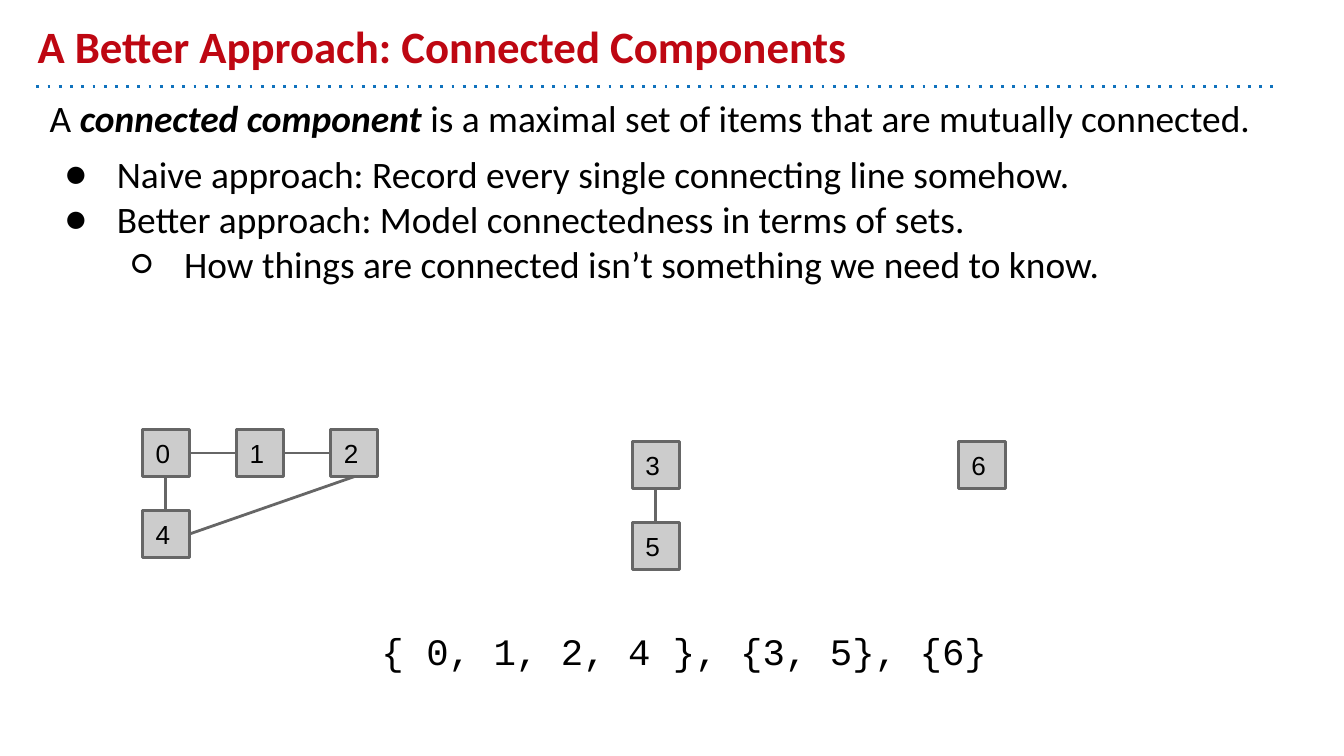
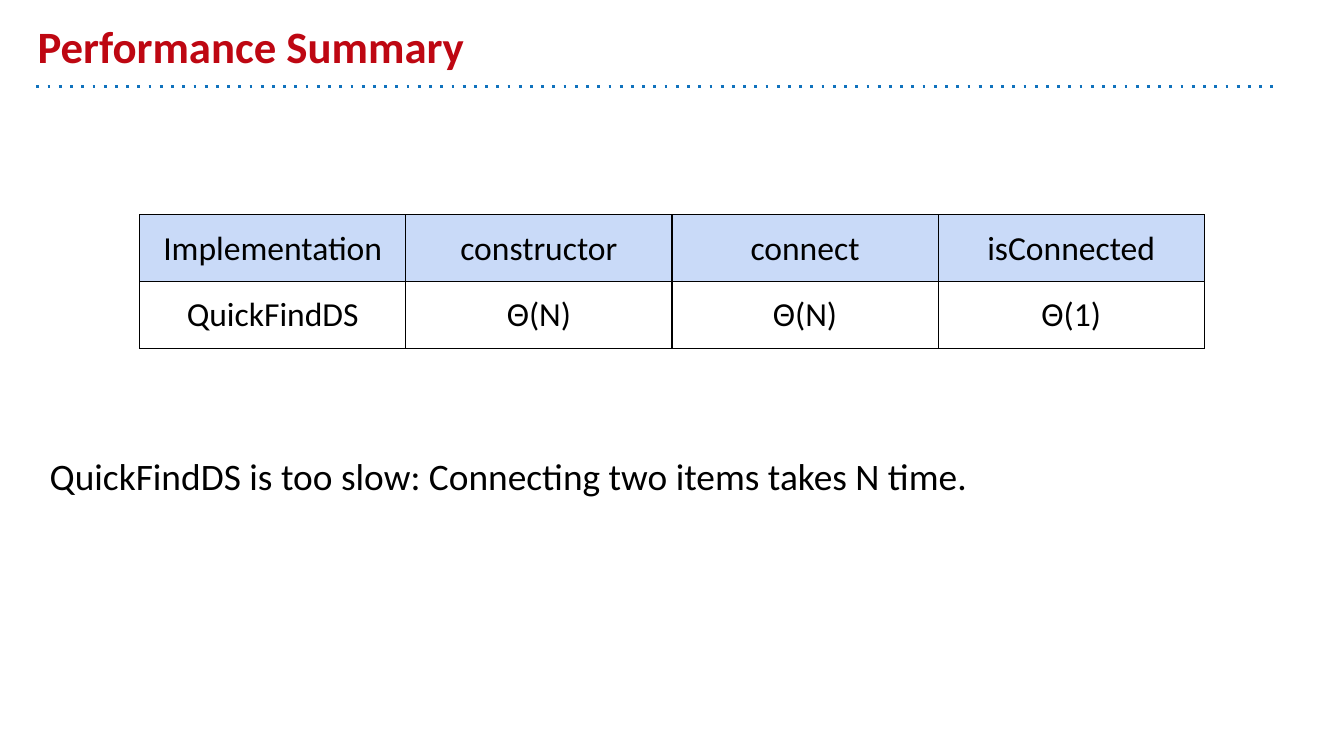
from lxml.etree import SubElement
from pptx import Presentation
from pptx.dml.color import RGBColor
from pptx.enum.shapes import MSO_CONNECTOR, MSO_SHAPE
from pptx.enum.text import MSO_ANCHOR, PP_ALIGN
from pptx.oxml import parse_xml
from pptx.oxml.ns import nsdecls, qn
from pptx.util import Cm, Pt

RED = RGBColor(0xBE, 0x07, 0x12)
BLUE = RGBColor(0x10, 0x72, 0xBD)
PALE = RGBColor(0xC9, 0xDA, 0xF8)
BLACK = RGBColor(0, 0, 0)
GREY = RGBColor(0x66, 0x66, 0x66)
SILVER = RGBColor(0xCC, 0xCC, 0xCC)

HEAD = {"name": "Calibri", "size": Pt(24), "bold": True}
BODY = {"name": "Calibri", "size": Pt(20)}
STRONG = {**BODY, "bold": True, "italic": True}
CODE = {"name": "Courier New", "size": Pt(20)}
LABEL = {"name": "Arial", "size": Pt(14)}
CELL = {"name": "Calibri", "size": Pt(18)}
INSET = {f"margin_{side}": Cm(0.25) for side in ("left", "right", "top", "bottom")}
FRAME = {**INSET, "word_wrap": True}
TOP, RIGHT, BOTTOM, LEFT = 0, 3, 2, 1


def apply(item, style):
    for key, value in style.items():
        setattr(item, key, value)


class Deck:
    def __init__(self):
        self.file = Presentation()
        apply(self.file, {"slide_width": Cm(25.4), "slide_height": Cm(14.29)})
        self.slide = None

    def page(self, title):
        self.slide = self.file.slides.add_slide(self.file.slide_layouts[6])
        rule = self.line(BLUE, (0.69, 1.63), (24.13, 1.63))
        edge = rule._element.spPr.find(qn("a:ln"))
        SubElement(edge, qn("a:prstDash"), val="dot")
        head = self.text((0.46, 0.25, 22.86, 1.37), HEAD, title, RED)
        head.vertical_anchor = MSO_ANCHOR.BOTTOM

    def run(self, para, text, style, color=BLACK):
        run = para.add_run()
        run.text = text
        apply(run.font, style)
        run.font.color.rgb = color

    def text(self, place, style, words, color=BLACK):
        frame = self.slide.shapes.add_textbox(*map(Cm, place)).text_frame
        apply(frame, FRAME)
        self.run(frame.paragraphs[0], words, style, color)
        return frame

    def bullet(self, frame, words, level=0, gap=0):
        para = frame.add_paragraph()
        apply(para, {"level": level, "space_before": Pt(gap)})
        props = para._p.get_or_add_pPr()
        props.set("marL", str(Cm(1.27 * (level + 1))))
        props.set("indent", str(Cm(-0.99)))
        color = SubElement(props, qn("a:buClr"))
        SubElement(color, qn("a:srgbClr"), val=str(BLACK))
        SubElement(props, qn("a:buFont"), typeface="Calibri")
        SubElement(props, qn("a:buChar"), char="●○"[level])
        self.run(para, words, BODY)

    def line(self, color, start=(0, 0), end=(0, 0)):
        line = self.slide.shapes.add_connector(
            MSO_CONNECTOR.STRAIGHT, *map(Cm, start + end))
        line.line.color.rgb = color
        line.line.width = Pt(1.5)
        SubElement(line._element.spPr, qn("a:effectLst"))
        return line

    def node(self, name, left, top):
        box = self.slide.shapes.add_shape(
            MSO_SHAPE.RECTANGLE, Cm(left), Cm(top), Cm(0.89), Cm(0.89))
        box.shadow.inherit = False
        box.fill.solid()
        box.fill.fore_color.rgb = SILVER
        box.line.color.rgb = GREY
        box.line.width = Pt(1.5)
        apply(box.text_frame, {**FRAME, "vertical_anchor": MSO_ANCHOR.MIDDLE})
        para = box.text_frame.paragraphs[0]
        para.alignment = PP_ALIGN.LEFT
        self.run(para, name, LABEL)
        return box

    def link(self, start, out, end, into):
        line = self.line(GREY)
        line.begin_connect(start, out)
        line.end_connect(end, into)

    def cell(self, cell, words, fill):
        apply(cell, INSET)
        if fill:
            cell.fill.solid()
            cell.fill.fore_color.rgb = fill
        else:
            cell.fill.background()
        props = cell._tc.get_or_add_tcPr()
        for spot, side in enumerate("LRTB"):
            props.insert(spot, parse_xml(
                f'<a:ln{side} {nsdecls("a")} w="{Pt(0.75)}"><a:solidFill>'
                f'<a:srgbClr val="{BLACK}"/></a:solidFill></a:ln{side}>'))
        para = cell.text_frame.paragraphs[0]
        para.alignment = PP_ALIGN.CENTER
        self.run(para, words, CELL)

    def table(self, left, top, width, height, rows):
        count = len(rows[0])
        table = self.slide.shapes.add_table(
            len(rows), count, Cm(left), Cm(top),
            Cm(width * count), Cm(height * len(rows))).table
        apply(table, {"first_row": False, "horz_banding": False})
        for r, row in enumerate(rows):
            for c, words in enumerate(row):
                self.cell(table.cell(r, c), words, None if r else PALE)


def sets(deck):
    deck.page("A Better Approach: Connected Components")
    frame = deck.text((0.69, 1.55, 23.44, 10.36), BODY, "A ")
    first = frame.paragraphs[0]
    deck.run(first, "connected component ", STRONG)
    deck.run(first, "is a maximal set of items that are mutually connected.", BODY)
    deck.bullet(frame, "Naive approach: Record every single connecting line somehow.", gap=6)
    deck.bullet(frame, "Better approach: Model connectedness in terms of sets.")
    deck.bullet(frame, "How things are connected isn’t something we need to know.", 1)
    deck.text((6.96, 11.63, 12.32, 1.7), CODE, "{ 0, 1, 2, 4 }, {3, 5}, {6}")

    left, top, low, step, drop = 2.69, 8.12, 8.34, 1.78, 1.53
    zero, one, two = [deck.node(str(i), left + i * step, top) for i in range(3)]
    four = deck.node("4", left, top + drop)
    three = deck.node("3", 11.95, low)
    five = deck.node("5", 11.95, low + drop)
    deck.node("6", 18.11, low)
    for upper, lower in ((zero, four), (three, five)):
        deck.link(upper, BOTTOM, lower, TOP)
    for near, far in ((zero, one), (one, two)):
        deck.link(near, RIGHT, far, LEFT)
    deck.link(four, RIGHT, two, BOTTOM)


def costs(deck):
    deck.page("Performance Summary")
    deck.text((0.69, 8.31, 23.44, 4.78), BODY,
              "QuickFindDS is too slow: Connecting two items takes N time.")
    deck.table(2.64, 4.06, 5.03, 1.07, [
        ("Implementation", "constructor", "connect", "isConnected"),
        ("QuickFindDS", "Θ(N)", "Θ(N)", "Θ(1)")])


def main():
    deck = Deck()
    sets(deck)
    costs(deck)
    deck.file.save("out.pptx")


if __name__ == "__main__":
    main()
